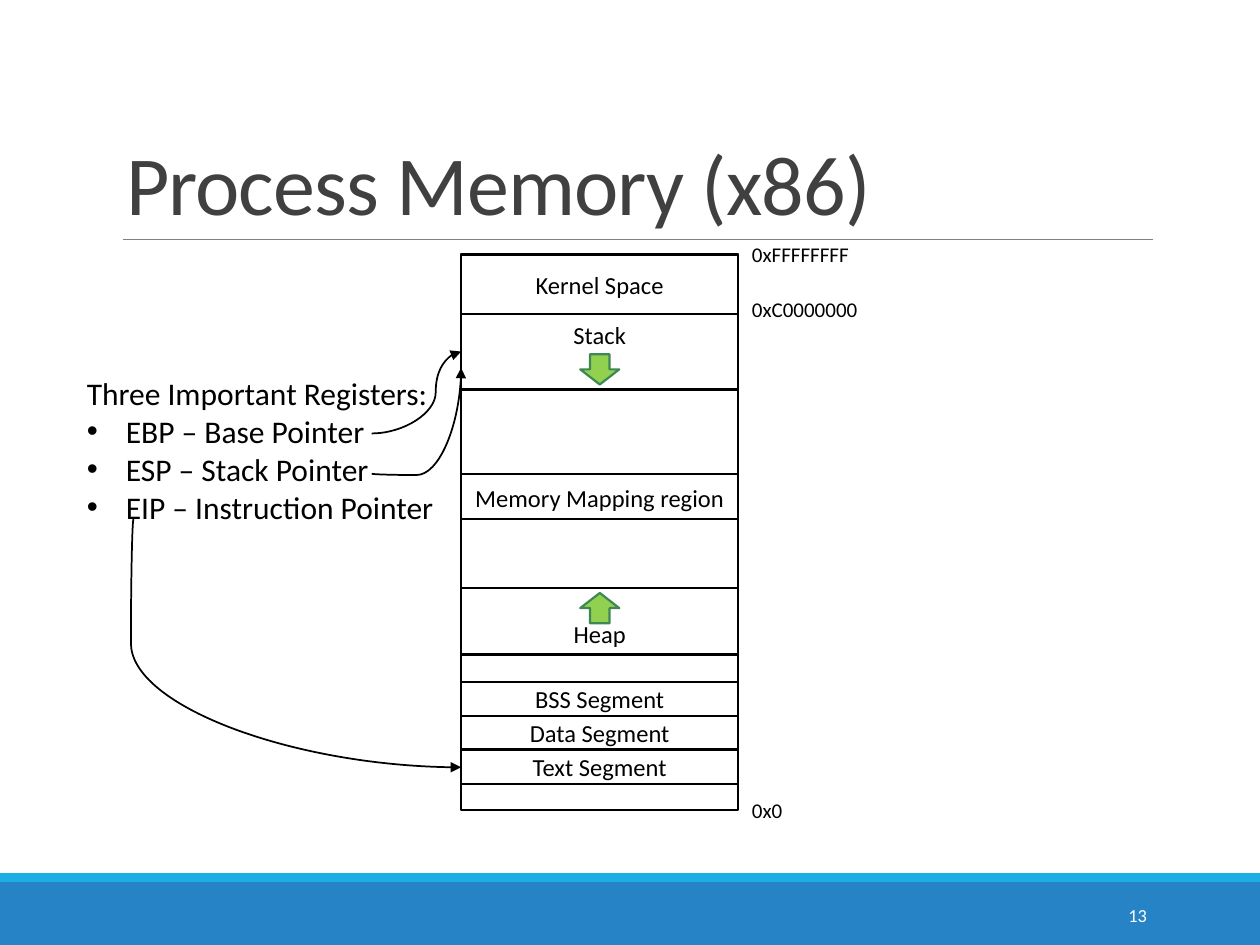
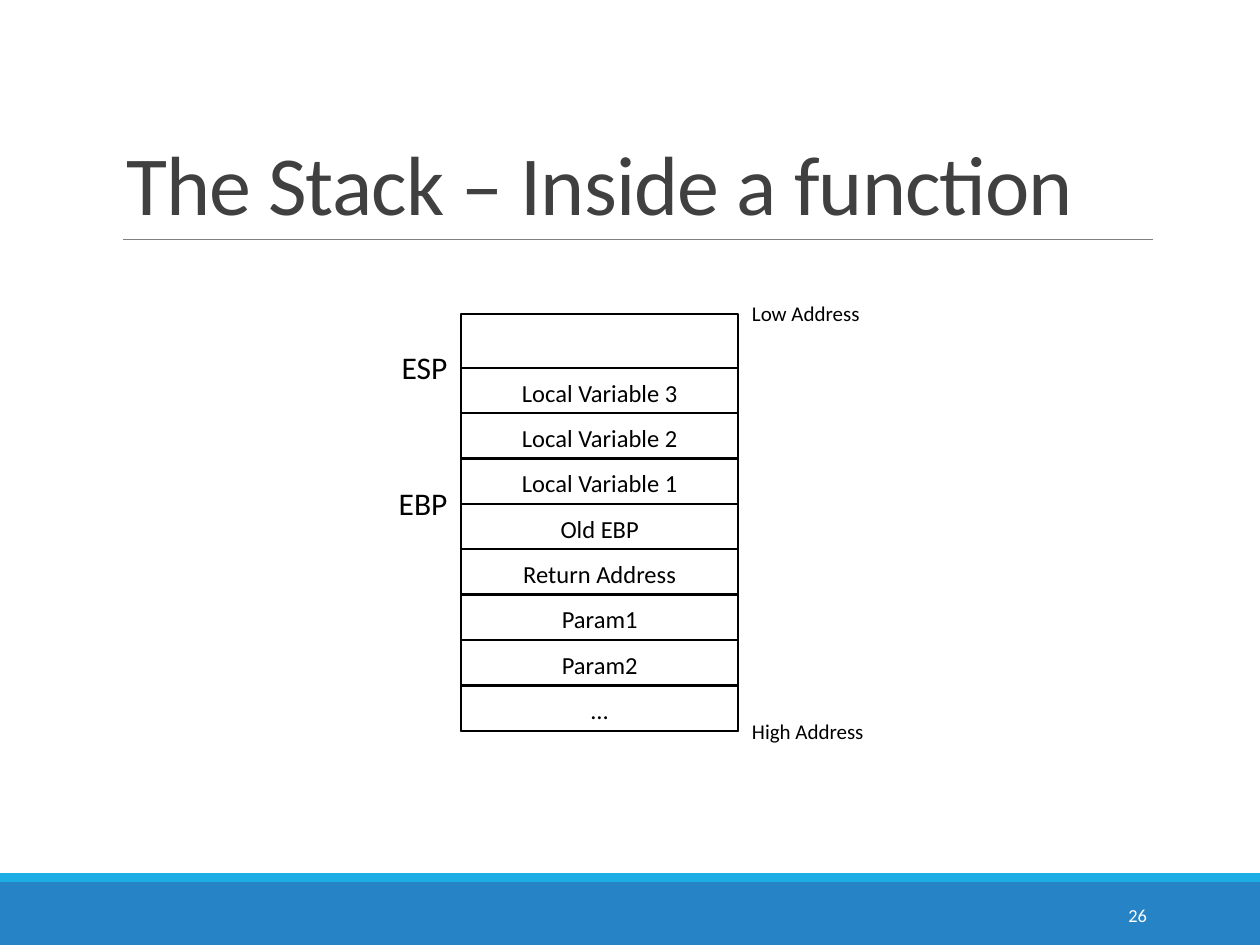
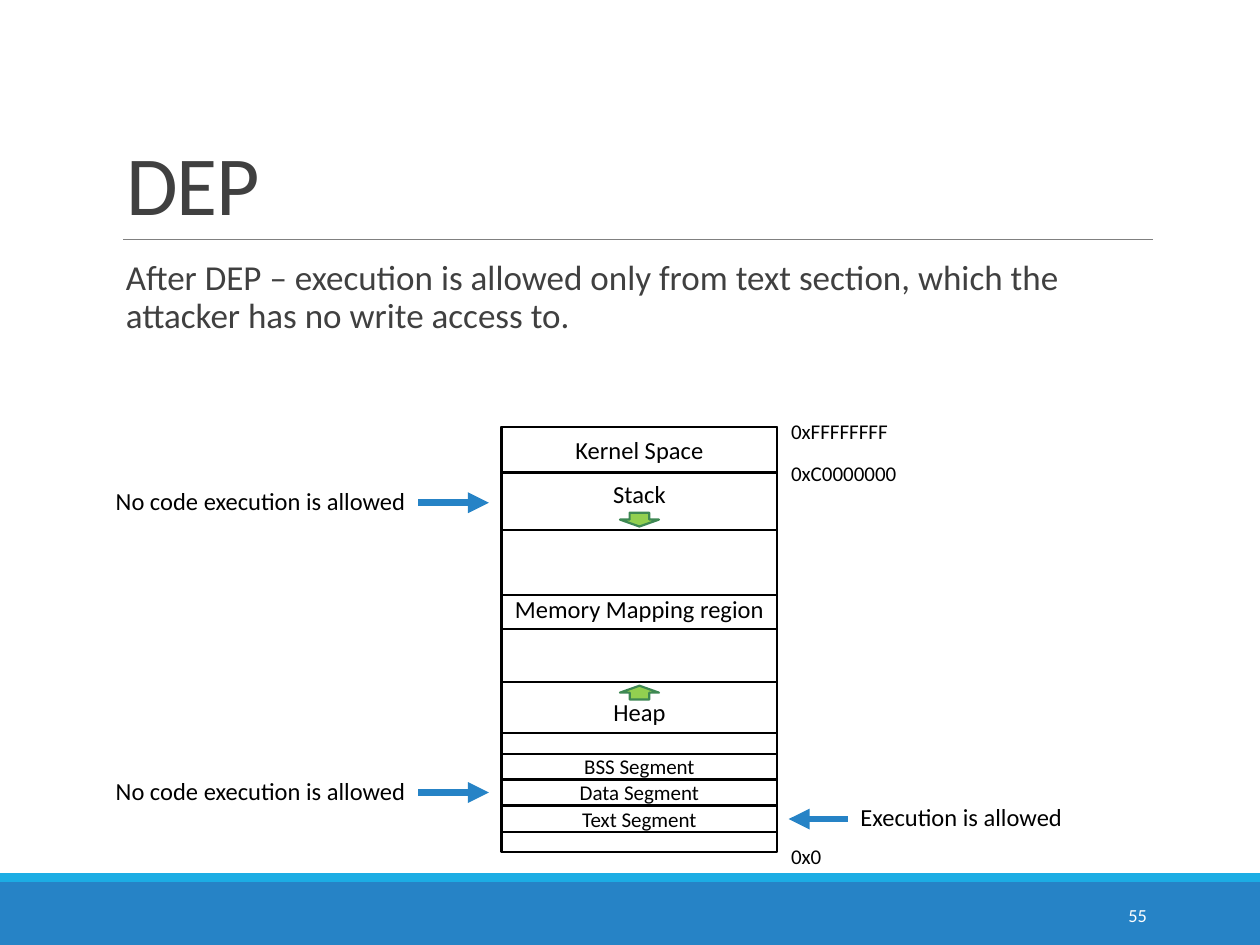
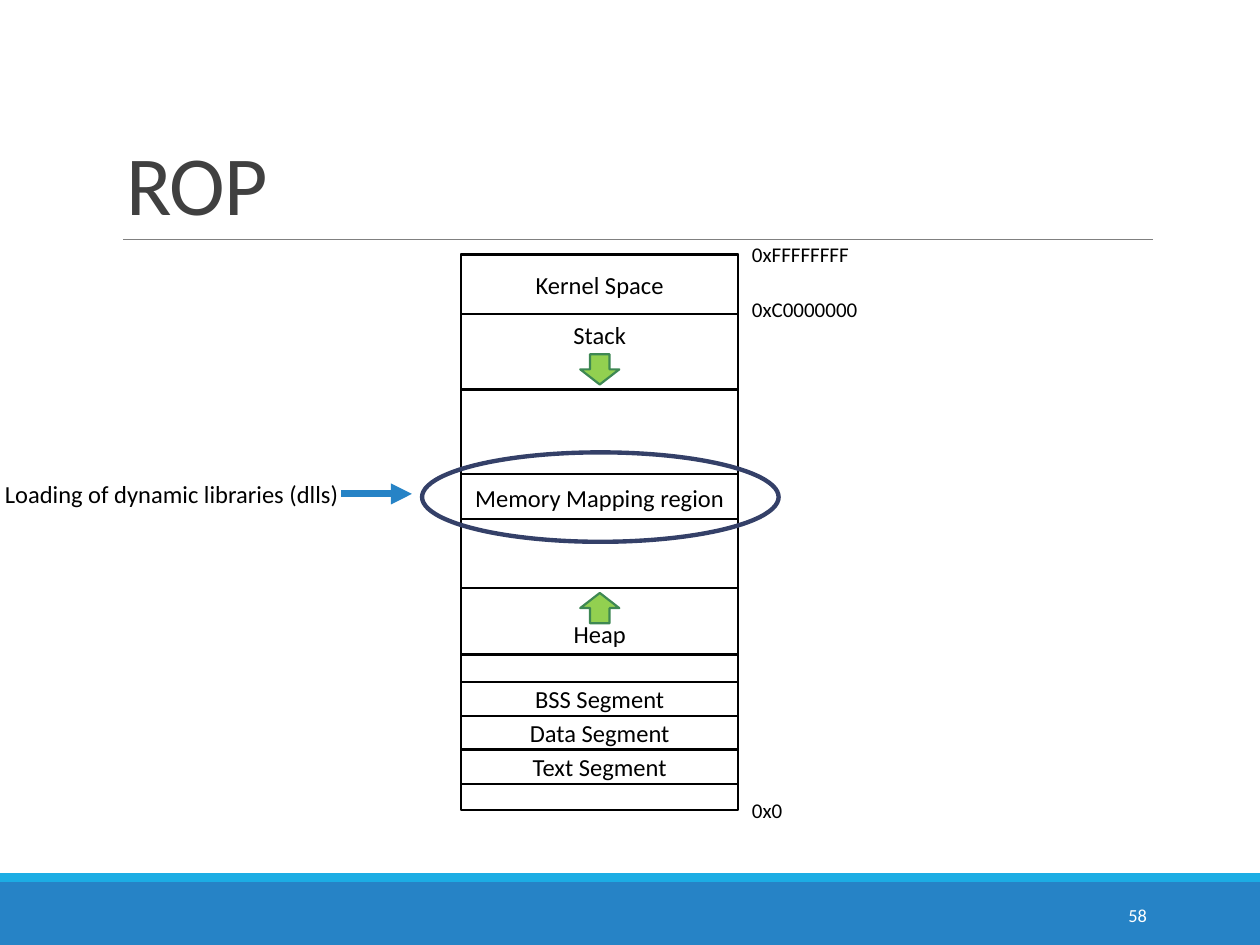
from dataclasses import dataclass

from lxml import etree
from pptx import Presentation
from pptx import util as u
from pptx.dml.color import RGBColor
from pptx.enum import shapes, text
from pptx.oxml.ns import qn

COLUMNS, ROWS = 100, 75
CELL = u.Inches(0.1)


@dataclass(frozen=True)
class Theme:
    font: str = "Calibri"
    ink: str = "000000"
    heading: str = "404040"
    paper: str = "FFFFFF"
    band: str = "2683C6"
    band_edge: str = "1CADE4"
    rule: str = "808080"
    growth: str = "92D050"
    growth_edge: str = "3E8853"
    highlight: str = "344068"
    title_size: float = 48
    body_size: float = 20
    register_size: float = 18
    cell_size: float = 14
    low_cell_size: float = 12
    address_size: float = 12
    number_size: float = 10.5
    outline: float = 1.25


THEME = Theme()
TOP, MIDDLE, BOTTOM = (text.MSO_ANCHOR.TOP, text.MSO_ANCHOR.MIDDLE,
                       text.MSO_ANCHOR.BOTTOM)
LEFT, CENTER, RIGHT = (text.PP_ALIGN.LEFT, text.PP_ALIGN.CENTER,
                       text.PP_ALIGN.RIGHT)


@dataclass(frozen=True)
class Box:
    """A region of the slide, in grid columns and rows."""
    left: float
    top: float
    width: float
    height: float

    @property
    def right(self):
        return self.left + self.width

    def band(self, start, end):
        """The full-width strip between two shares of the height."""
        return Box(self.left, self.top + start * self.height,
                   self.width, (end - start) * self.height)

    def emu(self):
        return [grid(v) for v in (self.left, self.top, self.width, self.height)]


# Each region of process memory: label, first and last share of the height, anchor
MEMORY_REGIONS = [
    ("Kernel Space", 0, 0.107, MIDDLE),
    ("Stack", 0.107, 0.243, TOP),
    ("Memory Mapping region", 0.395, 0.476, BOTTOM),
    ("Heap", 0.6, 0.72, BOTTOM),
    ("BSS Segment", 0.769, 0.83, MIDDLE),
    ("Data Segment", 0.83, 0.891, MIDDLE),
    ("Text Segment", 0.891, 0.953, MIDDLE),
]
MEMORY_ADDRESSES = [("0xFFFFFFFF", 0), ("0xC0000000", 0.098), ("0x0", 1)]
MEMORY_BOX = Box(36.6, 20.2, 22, 44.1)
LOW_CELL = 2.4  # a lower cell cannot hold a line of the usual size


def grid(cells):
    return u.Emu(round(cells * CELL))


def rgb(value):
    return RGBColor.from_string(value)


def add_run(paragraph, words, size, color=THEME.ink):
    run = paragraph.add_run()
    run.text = words
    run.font.name = THEME.font
    run.font.size = u.Pt(size)
    run.font.color.rgb = rgb(color)
    return run


def add_text(canvas, box, words, size, color=THEME.ink, align=LEFT,
             anchor=TOP, wrap=True):
    frame = canvas.add_textbox(*box.emu()).text_frame
    frame.word_wrap = wrap
    frame.vertical_anchor = anchor
    paragraph = frame.paragraphs[0]
    paragraph.alignment = align
    add_run(paragraph, words, size, color)
    return frame


def add_figure(canvas, kind, box, fill=None, line=None, width=THEME.outline):
    figure = canvas.add_shape(kind, *box.emu())
    figure.shadow.inherit = False
    if fill:
        figure.fill.solid()
        figure.fill.fore_color.rgb = rgb(fill)
    else:
        figure.fill.background()
    if line:
        figure.line.color.rgb = rgb(line)
        figure.line.width = u.Pt(width)
    else:
        figure.line.fill.background()
    return figure


def add_line(canvas, start, end, color, width, arrow=True,
             kind=shapes.MSO_CONNECTOR.STRAIGHT):
    line = canvas.add_connector(kind, *(grid(v) for v in (*start, *end)))
    line.line.color.rgb = rgb(color)
    line.line.width = u.Pt(width)
    properties = line.element.spPr
    if arrow:
        etree.SubElement(properties.find(qn("a:ln")), qn("a:tailEnd"),
                         type="triangle")
    etree.SubElement(properties, qn("a:effectLst"))
    return line


def add_curve(canvas, start, end, bend, upright=False):
    """Curved arrow; an upright one is turned so that it arrives from below."""
    if upright:
        middle_x, middle_y = (start[0] + end[0]) / 2, (start[1] + end[1]) / 2
        half_w, half_h = abs(end[1] - start[1]) / 2, abs(end[0] - start[0]) / 2
        start = (middle_x + half_w, middle_y + half_h)
        end = (middle_x - half_w, middle_y - half_h)
    curve = add_line(canvas, start, end, THEME.ink, 1,
                     kind=shapes.MSO_CONNECTOR.CURVE)
    if upright:
        curve.rotation = 90
    geometry = curve.element.spPr.find(qn("a:prstGeom"))
    adjustments = geometry.find(qn("a:avLst"))
    if adjustments is None:
        adjustments = etree.SubElement(geometry, qn("a:avLst"))
    etree.SubElement(adjustments, qn("a:gd"), name="adj1",
                     fmla=f"val {round(bend * 100000)}")


def move_frame_to_layout(slide):
    """Draw the bands and the title rule, then hand them to the layout."""
    canvas = slide.shapes
    rectangle = shapes.MSO_SHAPE.RECTANGLE
    parts = [
        add_figure(canvas, rectangle, Box(0, 70, COLUMNS, ROWS - 70), THEME.band),
        add_figure(canvas, rectangle, Box(0, 69.3, COLUMNS, 0.7), THEME.band_edge),
        add_line(canvas, (9.8, 19), (91.5, 19), THEME.rule, 0.5, arrow=False),
    ]
    tree = slide.slide_layout.shapes.element
    for index, part in enumerate(parts):
        part.element.xpath(".//p:cNvPr")[0].set("id", str(100 + index))
        tree.insert(2 + index, part.element)


def add_titled_slide(deck, title, number):
    slide = deck.slides.add_slide(deck.slide_layouts[5])
    holder = slide.shapes.title
    holder.left, holder.top, holder.width, holder.height = Box(
        9, 3.1, 82.5, 15.9).emu()
    frame = holder.text_frame
    frame.auto_size = text.MSO_AUTO_SIZE.NONE
    frame.vertical_anchor = BOTTOM
    paragraph = frame.paragraphs[0]
    paragraph.alignment = LEFT
    paragraph.line_spacing = 0.85
    run = add_run(paragraph, title, THEME.title_size, THEME.heading)
    run.font._element.set("spc", "-50")
    add_text(slide.shapes, Box(81.2, 70.6, 10.8, 4), str(number),
             THEME.number_size, THEME.paper, RIGHT, MIDDLE)
    return slide


def add_memory_cell(canvas, box, label="", anchor=BOTTOM):
    cell = add_figure(canvas, shapes.MSO_SHAPE.RECTANGLE, box, line=THEME.ink)
    if label:
        frame = cell.text_frame
        frame.vertical_anchor = anchor
        if anchor == MIDDLE:
            frame.margin_top = frame.margin_bottom = 0
        frame.paragraphs[0].alignment = CENTER
        size = THEME.low_cell_size if box.height < LOW_CELL else THEME.cell_size
        add_run(frame.paragraphs[0], label, size)


def add_address(canvas, box, label, share, height=3):
    """Label beside the right edge, level with a share of the box height."""
    level = box.top + share * box.height
    add_text(canvas, Box(box.right + 0.1, level - height / 2, 12, height),
             label, THEME.address_size)


def add_growth_arrow(canvas, box, top, height, upward=False):
    width = 3.1
    arrow = add_figure(canvas, shapes.MSO_SHAPE.DOWN_ARROW,
                       Box(box.left + (box.width - width) / 2, top, width, height),
                       THEME.growth, THEME.growth_edge)
    arrow.rotation = 180 if upward else 0


def add_process_memory(canvas, box, arrow_height=2.4, arrow_inset=0.4,
                       address_height=3):
    add_memory_cell(canvas, box)
    regions = {}
    for label, start, end, anchor in MEMORY_REGIONS:
        regions[label] = box.band(start, end)
        add_memory_cell(canvas, regions[label], label, anchor)
    for label, share in MEMORY_ADDRESSES:
        add_address(canvas, box, label, share, address_height)
    stack, heap = regions["Stack"], regions["Heap"]
    add_growth_arrow(canvas, stack,
                     stack.top + stack.height - arrow_inset - arrow_height,
                     arrow_height)
    add_growth_arrow(canvas, heap, heap.top + arrow_inset, arrow_height, upward=True)


def add_registers(canvas, box, heading, registers):
    frame = add_text(canvas, box, heading, THEME.register_size)
    for register in registers:
        paragraph = frame.add_paragraph()
        properties = paragraph._p.get_or_add_pPr()
        indent = grid(3.1)
        properties.set("marL", str(indent))
        properties.set("indent", str(-indent))
        etree.SubElement(properties, qn("a:buFont"), typeface="Arial")
        etree.SubElement(properties, qn("a:buChar"), char="•")
        add_run(paragraph, register, THEME.register_size)


def add_note(canvas, box, words, start, end):
    """A remark with a thick arrow from it."""
    add_text(canvas, box, words, THEME.cell_size, wrap=False)
    add_line(canvas, start, end, THEME.band, 4)


def build_process_memory(deck):
    slide = add_titled_slide(deck, "Process Memory (x86)", 13)
    move_frame_to_layout(slide)
    canvas, edge = slide.shapes, MEMORY_BOX.left
    add_process_memory(canvas, MEMORY_BOX)
    add_registers(canvas, Box(5.9, 29.2, 30.5, 13.1), "Three Important Registers:",
                  ["EBP – Base Pointer", "ESP – Stack Pointer",
                   "EIP – Instruction Pointer"])
    add_curve(canvas, (29.5, 34.4), (edge, 27.9), 0.716)
    add_curve(canvas, (29.5, 37.6), (edge, 29.2), -0.013, upright=True)
    add_curve(canvas, (10.6, 41.2), (edge, 60.9), -0.008)


def build_function_stack(deck):
    canvas = add_titled_slide(deck, "The Stack – Inside a function", 26).shapes
    entries = ["Local Variable 3", "Local Variable 2", "Local Variable 1", "Old EBP",
               "Return Address", "Param1", "Param2", "…"]
    free_space, entry_height = 4.3, 3.6
    stack = Box(MEMORY_BOX.left, 24.9, MEMORY_BOX.width,
                free_space + entry_height * len(entries))
    add_memory_cell(canvas, stack)
    for index, entry in enumerate(entries):
        top = stack.top + free_space + index * entry_height
        add_memory_cell(canvas, Box(stack.left, top, stack.width, entry_height), entry)
    for address, share in (("Low Address", 0), ("High Address", 1)):
        add_address(canvas, stack, address, share)
    for register, entry_index in (("ESP", 0), ("EBP", 3)):
        level = stack.top + free_space + entry_index * entry_height
        add_text(canvas, Box(stack.left - 7.1, level - 2.1, 7, 4), register,
                 THEME.register_size, align=RIGHT)


def build_dep(deck):
    canvas = add_titled_slide(deck, "DEP", 55).shapes
    body = add_text(canvas, Box(9, 20.2, 82.5, 10),
                    "After DEP – execution is allowed only from text section, "
                    "which the attacker has no write access to.",
                    THEME.body_size, THEME.heading)
    body.margin_right = 0
    body.paragraphs[0].line_spacing = 0.9
    add_process_memory(canvas.add_group_shape().shapes, Box(39.8, 33.9, 21.9, 33.7),
                       arrow_height=1.1, arrow_inset=0.3, address_height=2.3)
    for level in (39.9, 62.9):
        add_note(canvas, Box(8.2, level - 1.8, 25.2, 3.4),
                 "No code execution is allowed", (33.2, level), (38.8, level))
    add_note(canvas, Box(67.3, 63.2, 18.2, 3.4), "Execution is allowed",
             (67.3, 65), (62.6, 65))


def build_rop(deck):
    canvas = add_titled_slide(deck, "ROP", 58).shapes
    add_process_memory(canvas, MEMORY_BOX)
    add_figure(canvas, shapes.MSO_SHAPE.OVAL, Box(33.5, 35.9, 28.3, 7.1),
               line=THEME.highlight, width=2.5)
    add_note(canvas, Box(-0.6, 37.5, 28.7, 3.4), "Loading of dynamic libraries (dlls)",
             (27.1, 39.2), (32.7, 39.2))


def main():
    deck = Presentation()
    deck.slide_width, deck.slide_height = grid(COLUMNS), grid(ROWS)
    for build in (build_process_memory, build_function_stack, build_dep, build_rop):
        build(deck)
    deck.save("out.pptx")


if __name__ == "__main__":
    main()
